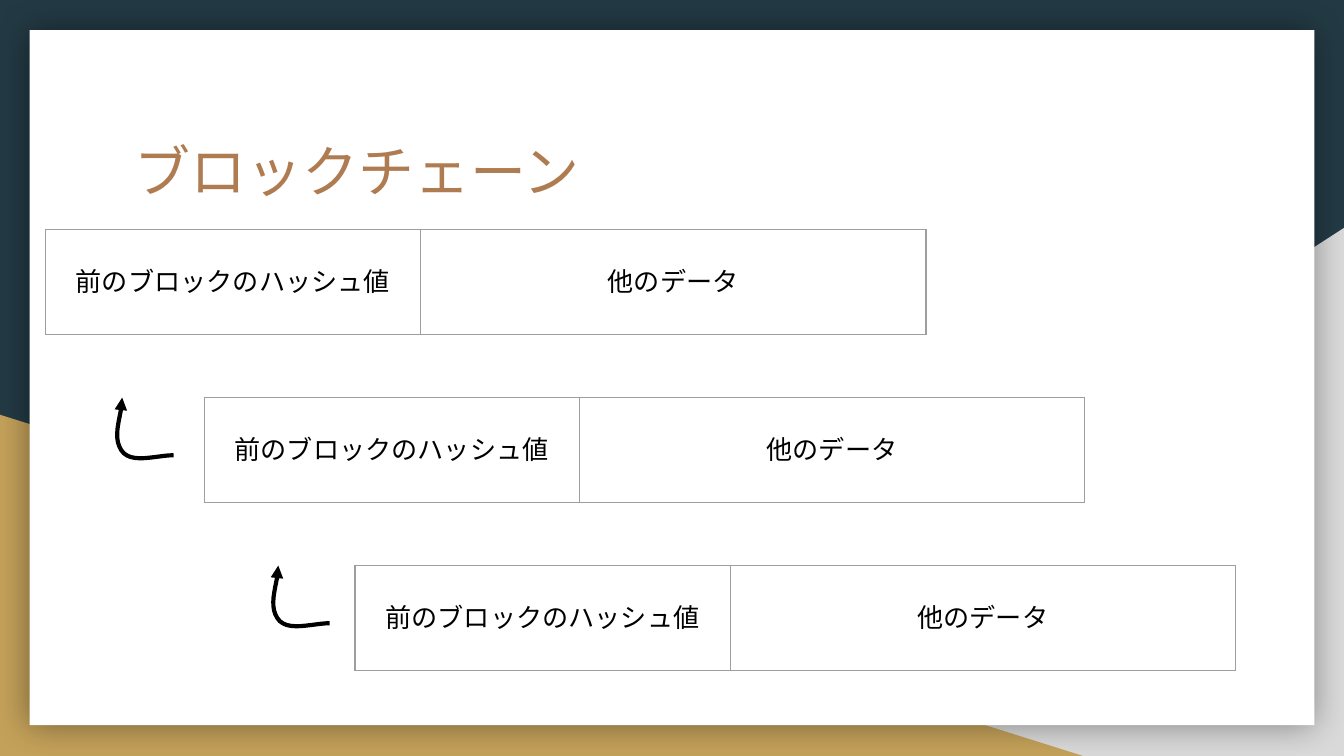
from lxml.etree import SubElement
from pptx import Presentation
from pptx.dml.color import RGBColor
from pptx.enum.shapes import MSO_SHAPE as Shape
from pptx.enum.text import MSO_ANCHOR as Anchor, PP_ALIGN as Align
from pptx.oxml import parse_xml
from pptx.oxml.ns import nsdecls, qn
from pptx.util import Cm, Pt

NAVY = RGBColor(0x23, 0x3A, 0x44)
SILVER = RGBColor(0xD9, 0xD9, 0xD9)
GOLD = RGBColor(0xC4, 0xA1, 0x5A)
WHITE = RGBColor(0xFF, 0xFF, 0xFF)
BROWN = RGBColor(0xAF, 0x7B, 0x51)
BLACK = RGBColor(0, 0, 0)
GREY = RGBColor(0x9E, 0x9E, 0x9E)

CURVES = [
    [(1.07, 1.09), (0.74, 1.09), (0.25, 1.27), (0.08, 0.99)],
    [(0.08, 0.99), (-0.1, 0.71), (0.1, 0.33), (0.1, 0)],
]
CURVE_STEPS = 12
BLOCK_LEFTS = [0.86, 3.86, 6.71]
ARROW_LEFTS = [2.21, 5.16]
FIRST_TOP, BLOCK_STEP = 4.34, 3.175
COLUMN_WIDTHS, ROW_HEIGHT = [7.09, 9.55], 1.98


def write_text(frame, text, size=14, font="Arial", color=BLACK, align=Align.LEFT):
    frame.word_wrap = True
    paragraph = frame.paragraphs[0]
    paragraph.alignment = align
    run = paragraph.add_run()
    run.text = text
    run.font.size = Pt(size)
    run.font.name = font
    run.font.color.rgb = color
    SubElement(run.font._element, qn("a:ea"), typeface=font)


def bezier(points, t):
    weights = [(1 - t) ** 3, 3 * t * (1 - t) ** 2, 3 * t * t * (1 - t), t ** 3]
    return tuple(sum(w * point[axis] for w, point in zip(weights, points))
                 for axis in (0, 1))


class SlideBuilder:
    margin = Cm(0.25)
    border_width = Pt(0.75)
    arrow_width = Pt(2.25)

    def __init__(self, slide):
        self.slide = slide
        self.shapes = slide.shapes

    def background(self, color):
        fill = self.slide.background.fill
        fill.solid()
        fill.fore_color.rgb = color

    def panel(self, kind, left, top, width, height, color, flip=False):
        shape = self.shapes.add_shape(kind, Cm(left), Cm(top), Cm(width), Cm(height))
        shape.shadow.inherit = False
        shape.fill.solid()
        shape.fill.fore_color.rgb = color
        shape.line.fill.background()
        if flip:
            shape._element.spPr.xfrm.set("flipH", "1")
        return shape

    def glow_shadow(self, shape, blur, opacity):
        effects = shape._element.spPr.find(qn("a:effectLst"))
        effects.append(parse_xml(
            f'<a:outerShdw {nsdecls("a")} blurRad="{Pt(blur)}" dist="0" dir="0" '
            f'algn="ctr" rotWithShape="0"><a:srgbClr val="{BLACK}">'
            f'<a:alpha val="{opacity * 1000}"/></a:srgbClr></a:outerShdw>'))

    def title(self, text, left, top, width, height):
        box = self.shapes.add_textbox(Cm(left), Cm(top), Cm(width), Cm(height))
        frame = box.text_frame
        frame.margin_left = frame.margin_right = self.margin
        frame.margin_top = frame.margin_bottom = self.margin
        write_text(frame, text, size=30, font="TeX Gyre Adventor", color=BROWN)

    def block(self, texts, left, top):
        table = self.shapes.add_table(
            1, len(texts), Cm(left), Cm(top), Cm(sum(COLUMN_WIDTHS)), Cm(ROW_HEIGHT)).table
        table.first_row = table.horz_banding = False
        for column, width, cell, text in zip(
                table.columns, COLUMN_WIDTHS, table.rows[0].cells, texts):
            column.width = Cm(width)
            cell.vertical_anchor = Anchor.MIDDLE
            cell.margin_left = cell.margin_right = self.margin
            cell.margin_top = cell.margin_bottom = self.margin
            self.borders(cell)
            cell.fill.background()
            write_text(cell.text_frame, text, align=Align.CENTER)

    def borders(self, cell):
        properties = cell._tc.get_or_add_tcPr()
        for side in "LRTB":
            properties.append(parse_xml(
                f'<a:ln{side} {nsdecls("a")} w="{self.border_width}"><a:solidFill>'
                f'<a:srgbClr val="{GREY}"/></a:solidFill></a:ln{side}>'))

    def curved_arrow(self, left, top):
        points = [bezier(CURVES[0], 0)]
        for curve in CURVES:
            points += [bezier(curve, step / CURVE_STEPS)
                       for step in range(1, CURVE_STEPS + 1)]
        points = [(Cm(left + x), Cm(top + y)) for x, y in points]
        builder = self.shapes.build_freeform(*points[0])
        builder.add_line_segments(points[1:], close=False)
        shape = builder.convert_to_shape()
        shape.shadow.inherit = False
        shape.fill.background()
        shape.line.color.rgb = BLACK
        shape.line.width = self.arrow_width
        SubElement(shape.line._get_or_add_ln(), qn("a:tailEnd"), type="triangle")


def main():
    presentation = Presentation()
    presentation.slide_width = Cm(25.4)
    presentation.slide_height = Cm(14.29)
    builder = SlideBuilder(presentation.slides.add_slide(presentation.slide_layouts[6]))

    builder.background(NAVY)
    builder.panel(Shape.RIGHT_TRIANGLE, 9.96, 4.31, 15.44, 9.98, SILVER, flip=True)
    builder.panel(Shape.RIGHT_TRIANGLE, 0, 7.84, 20.47, 6.45, GOLD)
    page = builder.panel(Shape.RECTANGLE, 0.56, 0.57, 24.28, 13.14, WHITE)
    builder.glow_shadow(page, blur=18, opacity=40)

    builder.title("ブロックチェーン", 2.29, 2.34, 20.85, 2.64)
    tops = [FIRST_TOP + index * BLOCK_STEP for index in range(len(BLOCK_LEFTS))]
    for left, top in zip(BLOCK_LEFTS, tops):
        builder.block(["前のブロックのハッシュ値", "他のデータ"], left, top)
    for left, top in zip(ARROW_LEFTS, tops[1:]):
        builder.curved_arrow(left, top)

    presentation.save("out.pptx")


if __name__ == "__main__":
    main()
